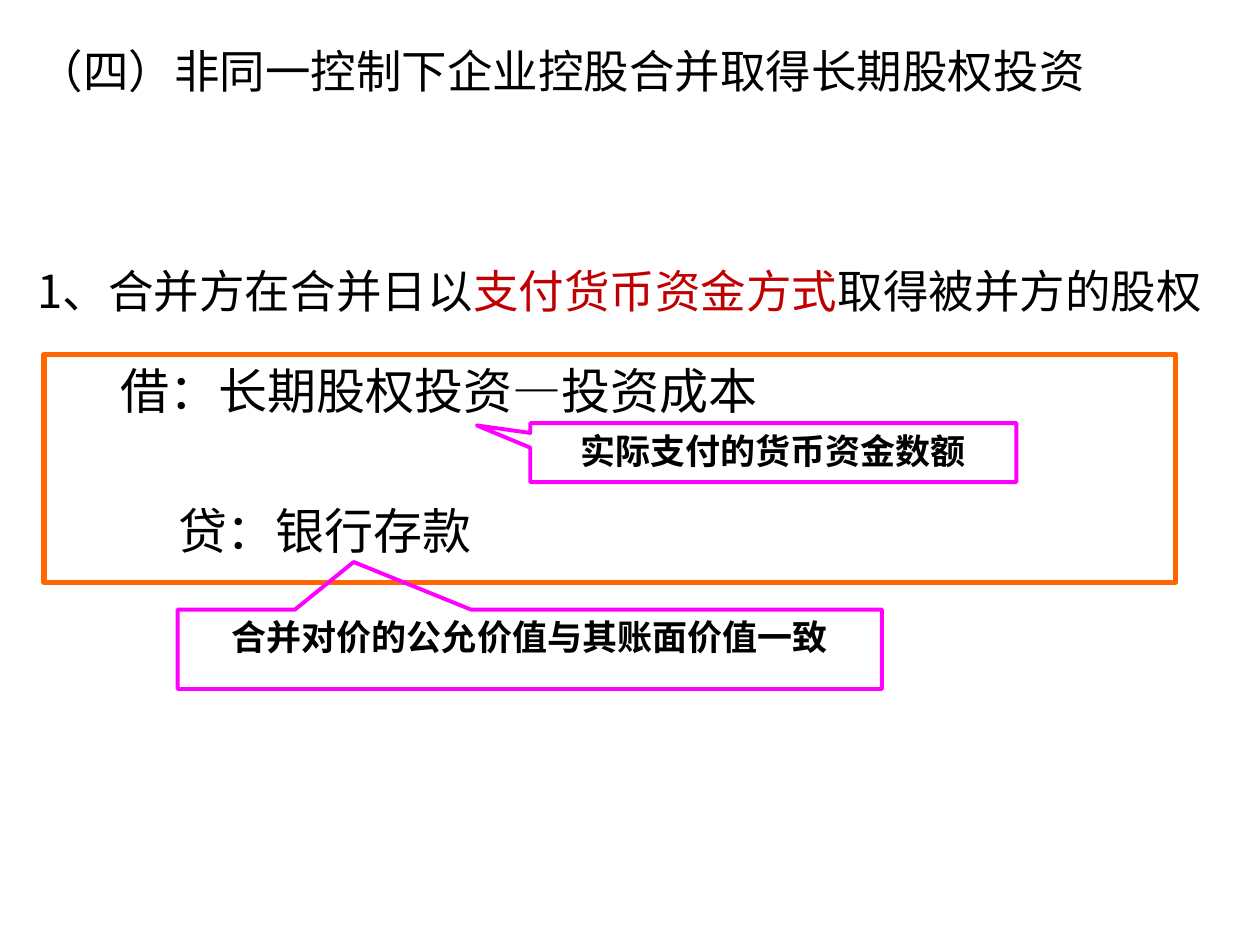
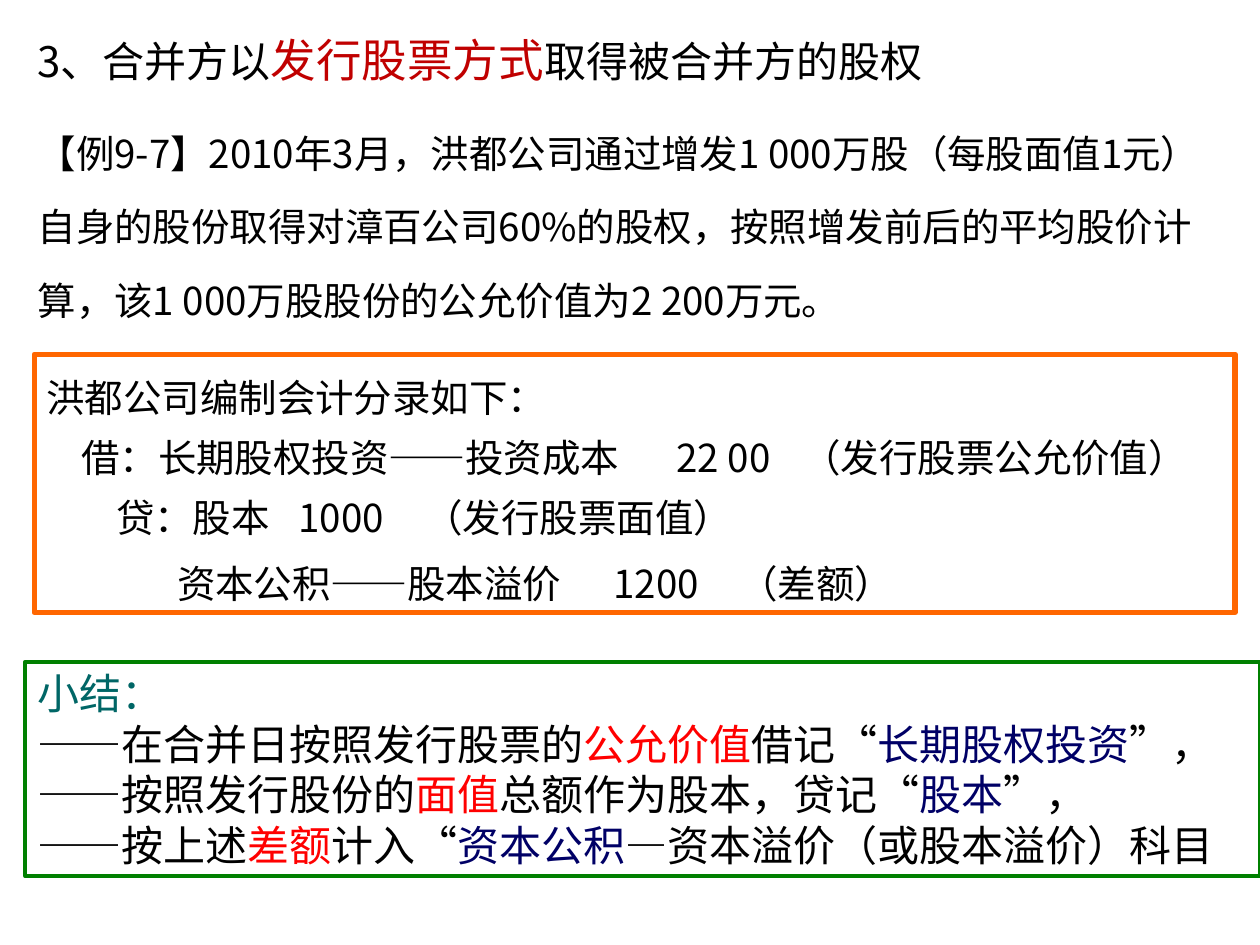
from dataclasses import dataclass

from lxml.etree import SubElement
from pptx import Presentation
from pptx.dml.color import RGBColor
from pptx.enum.lang import MSO_LANGUAGE_ID
from pptx.enum.shapes import MSO_SHAPE
from pptx.enum.text import MSO_ANCHOR, PP_ALIGN
from pptx.oxml.ns import qn
from pptx.util import Cm, Pt

FONT = "Noto Sans CJK SC"
BLACK, CRIMSON, RED = "000000", "C00000", "FF0000"
NAVY, TEAL = "000066", "006666"
ORANGE, PINK, GREEN = "FF6600", "FF00FF", "008000"


@dataclass(frozen=True)
class Run:
    text: str
    size: float = 24
    color: str = BLACK
    bold: bool = False


@dataclass(frozen=True)
class Para:
    runs: tuple[Run, ...]
    before: float = 0
    spacing: float = 1.0
    indent: float = 0
    tabs: tuple[float, ...] = ()
    align: PP_ALIGN = PP_ALIGN.LEFT


@dataclass(frozen=True)
class Box:
    """A block of text; lengths in cm, with an outline where a colour is given."""
    left: float
    top: float
    width: float
    height: float
    paras: tuple[Para, ...]
    line: str = ""
    weight: float = 2.25
    tip: tuple[float, float] | None = None


def rgb(code: str) -> RGBColor:
    return RGBColor.from_string(code)


def add_run(para, run: Run) -> None:
    part = para.add_run()
    part.text = run.text
    font = part.font
    font.name, font.size, font.bold = FONT, Pt(run.size), run.bold
    font.color.rgb = rgb(run.color)
    font.language_id = MSO_LANGUAGE_ID.SIMPLIFIED_CHINESE
    SubElement(font._element, qn("a:ea"), typeface=FONT)


def fill_para(para, item: Para) -> None:
    para.alignment = item.align
    para.line_spacing = item.spacing
    para.space_before = Pt(item.before)
    props = para._p.get_or_add_pPr()
    props.set("indent", str(Cm(item.indent)))
    if item.tabs:
        stops = SubElement(props, qn("a:tabLst"))
        for pos in item.tabs:
            SubElement(stops, qn("a:tab"), pos=str(Cm(pos)), algn="l")
    for run in item.runs:
        add_run(para, run)


def draw_box(slide, box: Box) -> None:
    place = [Cm(n) for n in (box.left, box.top, box.width, box.height)]
    if box.line:
        kind = MSO_SHAPE.RECTANGULAR_CALLOUT if box.tip else MSO_SHAPE.RECTANGLE
        shape = slide.shapes.add_shape(kind, *place)
        shape.shadow.inherit = False
        shape.fill.background()
        shape.line.color.rgb = rgb(box.line)
        shape.line.width = Pt(box.weight)
        for i, value in enumerate(box.tip or ()):
            shape.adjustments[i] = value
    else:
        shape = slide.shapes.add_textbox(*place)
    frame = shape.text_frame
    frame.word_wrap = True
    frame.vertical_anchor = MSO_ANCHOR.TOP
    for i, item in enumerate(box.paras):
        fill_para(frame.add_paragraph() if i else frame.paragraphs[0], item)


def note(text: str) -> tuple[Para, ...]:
    """Centred bold label of a callout."""
    return (Para((Run(text, 20, bold=True),), before=5, align=PP_ALIGN.CENTER),)


def entry(text: str, indent: float = 0, tabs: tuple[float, ...] = (),
          before: float = 0) -> Para:
    """One line of the journal entry, its columns set by tabs."""
    return Para((Run(text, 22),), before, 1.3, indent, tabs)


def point(*parts: tuple[str, str]) -> Para:
    """One line of the summary, from pairs of text and colour."""
    return Para(tuple(Run(text, 24, color) for text, color in parts))


CASH = (
    Box(0.51, 0.53, 24.41, 17.81, (
        Para((Run("（四）非同一控制下企业控股合并取得长期股权投资", 26),), 6.5, 1.2),
        Para((Run("1、合并方在合并日以", 26),
              Run("支付货币资金方式", 26, CRIMSON),
              Run("取得被并方的股权", 26)), 94.5),
    )),
    Box(0.89, 7.14, 22.81, 4.6, (
        Para((Run("借：长期股权投资—投资成本", 28),), 7, indent=1.3),
        Para((Run("贷：银行存款", 28),), 46.6, indent=2.45),
    ), ORANGE, 3, (-0.1, -0.5)),
    Box(10.69, 8.53, 9.8, 1.19, note("实际支付的货币资金数额"),
        PINK, tip=(-0.61, -0.46)),
    Box(3.58, 12.29, 14.2, 1.6, note("合并对价的公允价值与其账面价值一致"),
        PINK, tip=(-0.25, -1.1)),
)

STOCK = (
    Box(0.51, 0.53, 24.21, 1.4, (
        Para((Run("3、合并方以"), Run("发行股票方式", 26, CRIMSON),
              Run("取得被合并方的股权")), 6),
    )),
    Box(0.51, 1.93, 24.41, 4.72, (
        Para((Run("【例9-7】2010年3月，洪都公司通过增发1 000万股（每股面值1元）"
                  "自身的股份取得对漳百公司60%的股权，按照增发前后的平均股价计算，"
                  "该1 000万股股份的公允价值为2 200万元。", 22),), spacing=1.6),
    )),
    Box(0.69, 7.14, 24.21, 5.21, (
        entry("洪都公司编制会计分录如下："),
        entry("借：长期股权投资——投资成本\t22 00\t（发行股票公允价值）",
              0.7, (12.77, 15.55)),
        entry("贷：股本\t1000\t（发行股票面值）", 1.4, (10.9, 13.7)),
        entry("资本公积——股本溢价\t1200\t（差额）", 2.63, (11.9, 14.86), 3),
    ), ORANGE, 3),
    Box(0.51, 13.34, 24.89, 4.32, (
        point(("小结：", TEAL)),
        point(("——在合并日按照发行股票的", BLACK), ("公允价值", RED),
              ("借记“", BLACK), ("长期股权投资", NAVY), ("”，", BLACK)),
        point(("——按照发行股份的", BLACK), ("面值", RED),
              ("总额作为股本，贷记“", BLACK), ("股本", NAVY), ("”，", BLACK)),
        point(("——按上述", BLACK), ("差额", RED), ("计入“", BLACK),
              ("资本公积", NAVY), ("—资本溢价（或股本溢价）科目", BLACK)),
    ), GREEN),
)


def main() -> None:
    deck = Presentation()
    deck.slide_width, deck.slide_height = Cm(25.4), Cm(19.05)
    for boxes in (CASH, STOCK):
        slide = deck.slides.add_slide(deck.slide_layouts[6])
        for box in boxes:
            draw_box(slide, box)
    deck.save("out.pptx")


if __name__ == "__main__":
    main()
